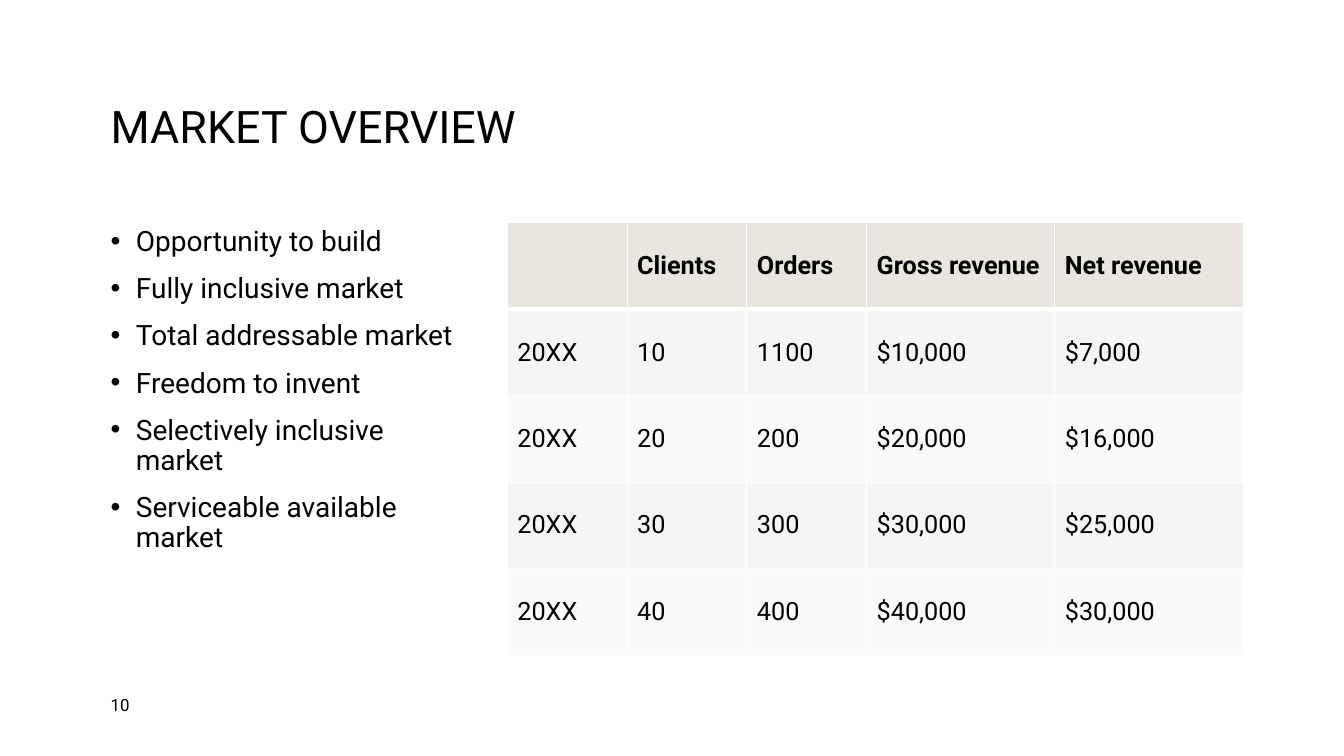
from dataclasses import dataclass

from lxml import etree
from pptx import Presentation
from pptx import util as u
from pptx.dml.color import RGBColor
from pptx.enum import text
from pptx.oxml import ns


@dataclass(frozen=True)
class Theme:
    font: str = "Roboto"
    ink: str = "000000"
    rule: str = "FFFFFF"
    header: str = "E9E6DF"
    bands: tuple = ("F7F5F3", "FBFAF9")
    title_size: int = 32
    bullet_size: int = 20
    table_size: int = 18
    number_size: int = 12


THEME = Theme()
SLIDE_WIDTH, SLIDE_HEIGHT = u.Inches(13.33), u.Inches(7.5)
COLUMNS, ROWS = 40, 30
MIDDLE = text.MSO_ANCHOR.MIDDLE

OPPORTUNITIES = [
    "Opportunity to build",
    "Fully inclusive market",
    "Total addressable market",
    "Freedom to invent",
    "Selectively inclusive market",
    "Serviceable available market",
]
REVENUE = [
    ["", "Clients", "Orders", "Gross revenue", "Net revenue"],
    ["20XX", "10", "1100", "$10,000", "$7,000"],
    ["20XX", "20", "200", "$20,000", "$16,000"],
    ["20XX", "30", "300", "$30,000", "$25,000"],
    ["20XX", "40", "400", "$40,000", "$30,000"],
]
REVENUE_WIDTHS = [1.19, 1.19, 1.19, 1.87, 1.87]


def grid_box(column, row, columns, rows):
    across, down = SLIDE_WIDTH / COLUMNS, SLIDE_HEIGHT / ROWS
    return [round(n) for n in (column * across, row * down, columns * across, rows * down)]


def apply(target, formats):
    for name, value in formats.items():
        setattr(target, name, value)


def write(paragraph, words, size, bold=False, **formats):
    run = paragraph.add_run()
    run.text = words
    apply(run.font, {"name": THEME.font, "size": u.Pt(size), "bold": bold})
    run.font.color.rgb = RGBColor.from_string(THEME.ink)
    apply(paragraph, formats)


def add_frame(slide, box, anchor):
    frame = slide.shapes.add_textbox(*box).text_frame
    apply(frame, {"word_wrap": True, "vertical_anchor": anchor})
    return frame


def add_title(slide, box):
    frame = add_frame(slide, box, MIDDLE)
    write(frame.paragraphs[0], "MARKET OVERVIEW", THEME.title_size, line_spacing=0.9)


def add_opportunities(slide, box):
    frame = add_frame(slide, box, text.MSO_ANCHOR.TOP)
    indent = u.Inches(0.25)
    for index, opportunity in enumerate(OPPORTUNITIES):
        paragraph = frame.add_paragraph() if index else frame.paragraphs[0]
        write(paragraph, opportunity, THEME.bullet_size, line_spacing=0.9, space_after=u.Pt(12))
        properties = paragraph._p.get_or_add_pPr()
        properties.set("marL", str(indent))
        properties.set("indent", str(-indent))
        etree.SubElement(properties, ns.qn("a:buFont"), typeface="Arial")
        etree.SubElement(properties, ns.qn("a:buChar"), char="•")


def add_borders(cell, top, bottom):
    properties = cell._tc.get_or_add_tcPr()
    for side, width in {"L": 1, "R": 1, "T": top, "B": bottom}.items():
        line = etree.SubElement(properties, ns.qn(f"a:ln{side}"), w=str(u.Pt(width)))
        fill = etree.SubElement(line, ns.qn("a:solidFill"))
        etree.SubElement(fill, ns.qn("a:srgbClr"), val=THEME.rule)


def add_revenue_table(slide, box):
    table = slide.shapes.add_table(len(REVENUE), len(REVENUE_WIDTHS), *box).table
    for column, share in zip(table.columns, REVENUE_WIDTHS):
        column.width = round(box[2] * share / sum(REVENUE_WIDTHS))
    for index, record in enumerate(REVENUE):
        is_header = index == 0
        color = THEME.header if is_header else THEME.bands[(index - 1) % 2]
        for position, value in enumerate(record):
            cell = table.cell(index, position)
            cell.vertical_anchor = MIDDLE
            add_borders(cell, top=3 if index == 1 else 1, bottom=3 if is_header else 1)
            cell.fill.solid()
            cell.fill.fore_color.rgb = RGBColor.from_string(color)
            if value:
                write(cell.text_frame.paragraphs[0], value, THEME.table_size, bold=is_header)


def add_page_number(slide, box):
    frame = add_frame(slide, box, MIDDLE)
    write(frame.paragraphs[0], "10", THEME.number_size)


def main():
    deck = Presentation()
    apply(deck, {"slide_width": SLIDE_WIDTH, "slide_height": SLIDE_HEIGHT})
    slide = deck.slides.add_slide(deck.slide_layouts[6])
    add_title(slide, grid_box(3, 1.6, 34, 7))
    add_opportunities(slide, grid_box(3, 8.84, 10.83, 17.12))
    add_revenue_table(slide, grid_box(15.1, 8.84, 21.9, 17.16))
    add_page_number(slide, grid_box(3, 27.32, 2.07, 1.28))
    deck.save("out.pptx")


if __name__ == "__main__":
    main()
